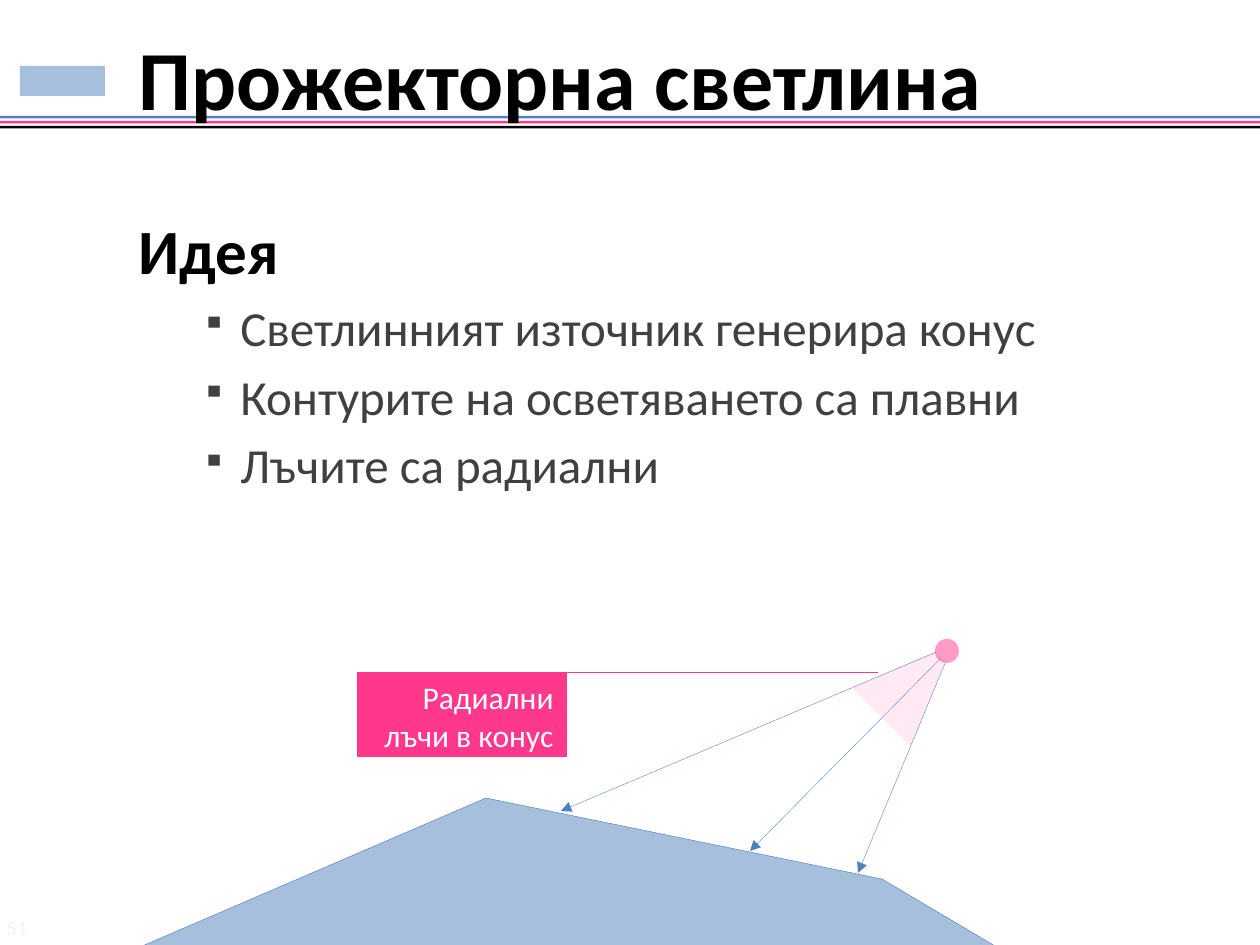
"""Builds the slide on spotlight illumination."""
from dataclasses import dataclass

from lxml import etree
from pptx import Presentation
from pptx.dml.color import RGBColor
from pptx.enum.dml import MSO_LINE
from pptx.enum.shapes import MSO_CONNECTOR, MSO_SHAPE
from pptx.enum.text import MSO_ANCHOR, MSO_AUTO_SIZE, PP_ALIGN
from pptx.oxml.ns import qn
from pptx.util import Emu, Pt

RECTANGLE, OVAL = MSO_SHAPE.RECTANGLE, MSO_SHAPE.OVAL
STRAIGHT, DASH = MSO_CONNECTOR.STRAIGHT, MSO_LINE.SQUARE_DOT
LEFT, RIGHT = PP_ALIGN.LEFT, PP_ALIGN.RIGHT
TOP, MIDDLE = MSO_ANCHOR.TOP, MSO_ANCHOR.MIDDLE
NO_FIT = MSO_AUTO_SIZE.NONE
SCALE = 914400 / 126


@dataclass(frozen=True)
class Theme:
    font: str = "Calibri"
    blue: str = "4F81BD"
    pink: str = "FF388C"
    black: str = "000000"
    white: str = "FFFFFF"
    gray: str = "404040"
    faint: str = "F2F2F2"
    title: int = 48
    heading: int = 36
    bullet: int = 28
    label: int = 18
    number: int = 12
    hairline: float = 0.25


THEME = Theme()
BULLETS = (
    "Светлинният източник генерира конус",
    "Контурите на осветяването са плавни",
    "Лъчите са радиални",
)
TERRAIN = ((486, 798), (882, 879), (1007, 953), (126, 953))
CONE = ((936, 651), (939, 657), (942, 660), (946, 660), (911, 747), (852, 688))
RAYS = (
    ((953, 646), (750, 851)),
    ((953, 644), (858, 873)),
    ((953, 645), (561, 811)),
)


def px(*lengths):
    return [Emu(round(length * SCALE)) for length in lengths]


def color(code):
    return RGBColor.from_string(code)


def add_text(frame, text, first=True, size=THEME.bullet, ink=THEME.black,
             bold=False, align=LEFT, line=1.0, bullet=False):
    """Write one paragraph into a text frame."""
    para = frame.paragraphs[0] if first else frame.add_paragraph()
    para.text = text
    para.alignment = align
    para.line_spacing = line
    para.space_before = Pt(0 if first else size * 0.2)
    if bullet:
        props = para._p.get_or_add_pPr()
        margin, indent = px(102, -39)
        props.set("marL", str(margin))
        props.set("indent", str(indent))
        tint = etree.SubElement(props, qn("a:buClr"))
        etree.SubElement(tint, qn("a:srgbClr"), val=ink)
        etree.SubElement(props, qn("a:buSzPct"), val="70000")
        etree.SubElement(props, qn("a:buChar"), char="▪")
    span = para.runs[0].font
    span.name, span.size, span.bold = THEME.font, Pt(size), bold
    span.color.rgb = color(ink)


def prepare_frame(frame, anchor=TOP):
    """Set wrapping, fit and anchor of a text frame."""
    frame.word_wrap = True
    frame.auto_size = NO_FIT
    frame.vertical_anchor = anchor
    return frame


def add_box(page, *place):
    """Add an empty text box and return its frame."""
    return prepare_frame(page.shapes.add_textbox(*px(*place)).text_frame)


def paint(shape, fill, opacity=100, outline=None):
    """Fill and outline a shape, without a shadow."""
    shape.shadow.inherit = False
    shape.fill.solid()
    shape.fill.fore_color.rgb = color(fill)
    if opacity < 100:
        tint = shape.fill._xPr.find(qn("a:solidFill"))[0]
        etree.SubElement(tint, qn("a:alpha"), val=str(opacity * 1000))
    if outline:
        shape.line.color.rgb = color(outline)
        shape.line.width = Pt(THEME.hairline)
    else:
        shape.line.fill.background()
    return shape


def add_preset(page, kind, place, fill, **look):
    return paint(page.shapes.add_shape(kind, *px(*place)), fill, **look)


def add_polygon(page, points, fill, **look):
    """Add a closed outline through the given points."""
    builder = page.shapes.build_freeform(*points[0], scale=SCALE)
    builder.add_line_segments(points[1:], close=True)
    return paint(builder.convert_to_shape(), fill, **look)


def add_line(page, start, end, ink, arrow=False):
    """Add a hairline, dashed with an arrowhead if it is an arrow."""
    connector = page.shapes.add_connector(STRAIGHT, *px(*start, *end))
    connector.line.color.rgb = color(ink)
    connector.line.width = Pt(THEME.hairline)
    if arrow:
        connector.line.dash_style = DASH
        stroke = connector.line._get_or_add_ln()
        etree.SubElement(stroke, qn("a:tailEnd"), type="triangle")
    etree.SubElement(connector._element.spPr, qn("a:effectLst"))


def add_header(page):
    """Add the emblem block, the three rules and the title."""
    add_preset(page, RECTANGLE, (20, 66, 85, 30), THEME.blue, opacity=50)
    for row, ink in enumerate((THEME.blue, THEME.pink, THEME.black)):
        add_preset(page, RECTANGLE, (-10, 116 + 5 * row, 1281, 2.5), ink)
    title = page.shapes.title
    title.left, title.top, title.width, title.height = px(0, 32, 1260, 89)
    frame = prepare_frame(title.text_frame, MIDDLE)
    frame.margin_left = px(139)[0]
    add_text(frame, "Прожекторна светлина", size=THEME.title, bold=True)
    page.shapes.element.append(title.element)


def add_body(page):
    """Add the heading with its bullets."""
    frame = add_box(page, 126, 168, 1124, 766)
    add_text(frame, "Идея", size=THEME.heading, bold=True, line=1.5)
    for text in BULLETS:
        add_text(frame, text, first=False, ink=THEME.gray, bullet=True)


def add_spotlight(page):
    """Add the lit terrain, the rays, the lamp and its label."""
    add_polygon(page, TERRAIN, THEME.blue, opacity=50, outline=THEME.blue)
    for start, end in RAYS:
        add_line(page, start, end, THEME.blue, arrow=True)
    add_preset(page, OVAL, (934, 626, 38, 38), THEME.white)
    add_preset(page, OVAL, (935, 639, 24, 24), THEME.pink, opacity=50)
    add_polygon(page, CONE, THEME.pink, opacity=10)
    label = add_preset(page, RECTANGLE, (357, 672, 209, 84), THEME.pink,
                       outline=THEME.pink)
    add_text(prepare_frame(label.text_frame), "Радиални лъчи в конус",
             size=THEME.label, ink=THEME.white, align=RIGHT)
    add_line(page, (357, 672), (878, 672), THEME.pink)


def add_page_number(page):
    frame = add_box(page, -6, 908, 80, 36)
    add_text(frame, "51", size=THEME.number, ink=THEME.faint)


def main():
    deck = Presentation()
    deck.slide_width, deck.slide_height = px(1260, 945)
    page = deck.slides.add_slide(deck.slide_layouts[5])
    add_header(page)
    add_body(page)
    add_spotlight(page)
    add_page_number(page)
    deck.save("out.pptx")


if __name__ == "__main__":
    main()
